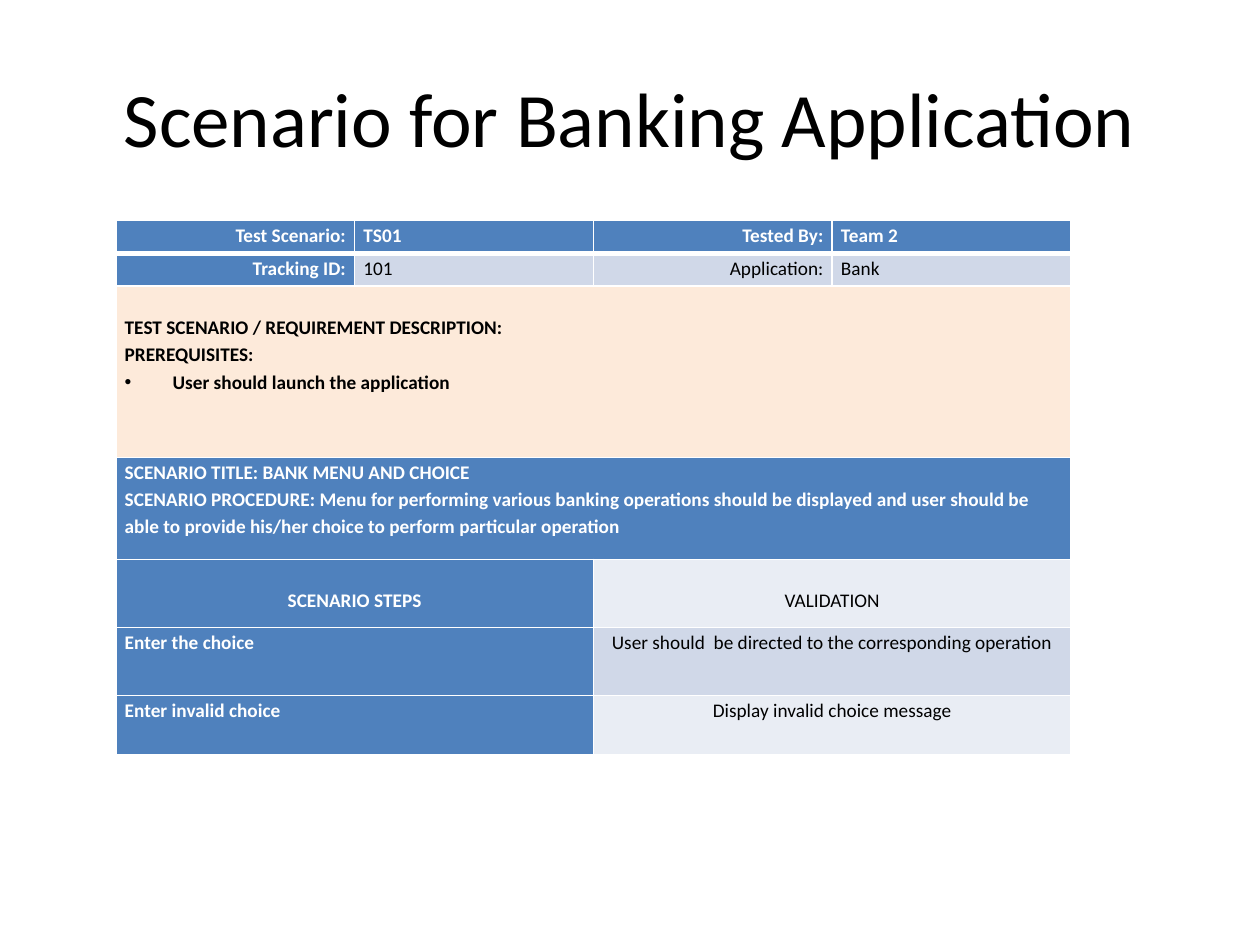
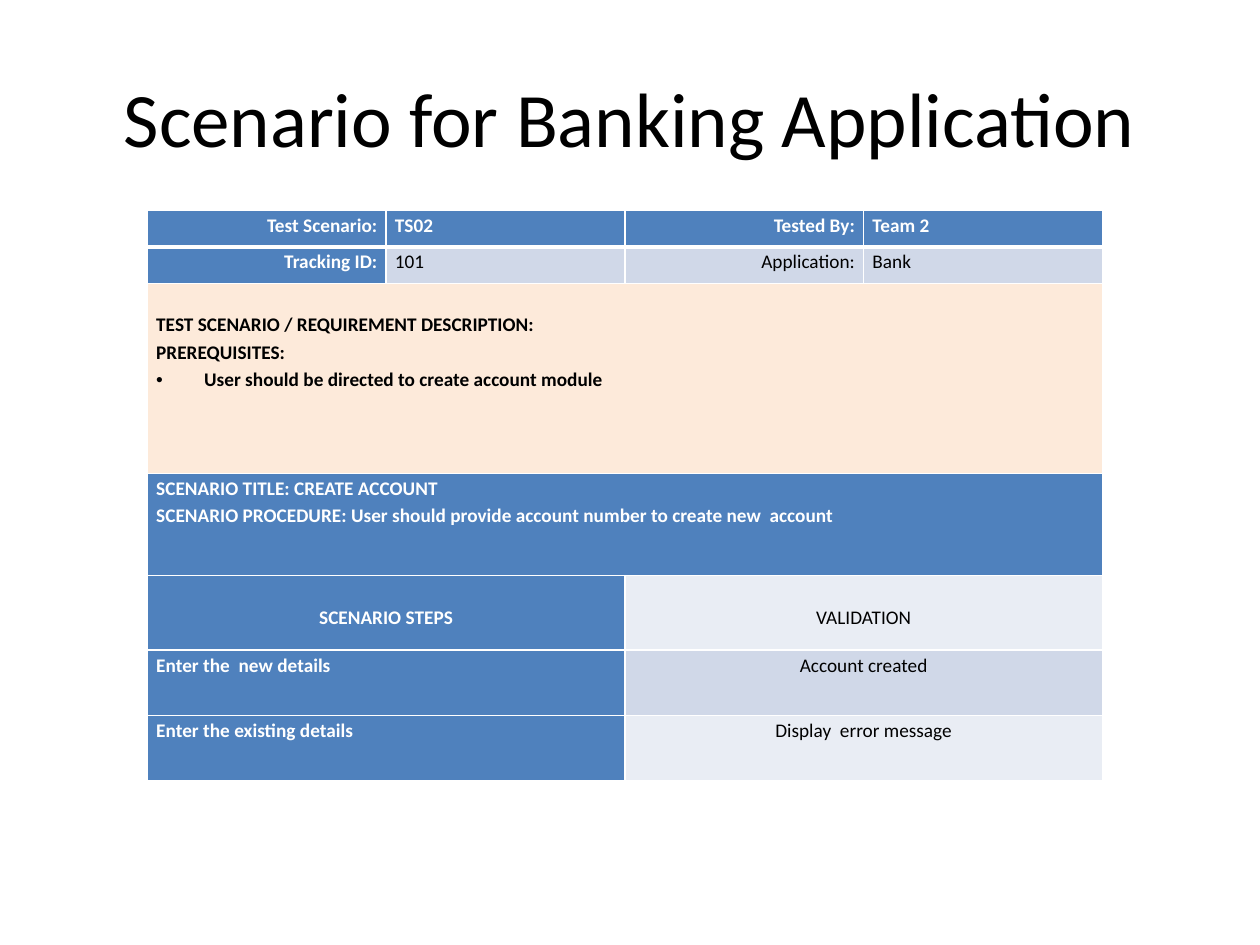
from lxml import etree
from pptx import Presentation
from pptx.dml.color import RGBColor
from pptx.enum.text import MSO_ANCHOR, PP_ALIGN
from pptx.oxml.ns import qn
from pptx.util import Inches, Pt

LEFT, CENTER, RIGHT = PP_ALIGN.LEFT, PP_ALIGN.CENTER, PP_ALIGN.RIGHT
MIDDLE = MSO_ANCHOR.MIDDLE

COLORS = {
    "white": "FFFFFF",
    "black": "000000",
    "blue": "4F81BD",
    "band": "D0D8E8",
    "pale": "E9EDF4",
    "peach": "FDEADA",
}
FONT = "Calibri"
TITLE = "Scenario for Banking Application"
COLUMNS = 4
TABLE_WIDTH = 7.58
LINE_GAP = 0.21  # one line of table text, left free above a heading

SCENARIOS = [
    {
        "at": (0.92, 1.75),
        "rows": [0.26, 0.26, 1.36, 0.81, 0.54, 0.54, 0.47],
        "id": "TS01",
        "prerequisite": "User should launch the application",
        "title": "BANK MENU AND CHOICE",
        "procedure": "Menu for performing various banking operations should be "
                     "displayed and user should be able to provide his/her choice "
                     "to perform particular operation",
        "steps": [
            ("Enter the choice",
             "User should  be directed to the corresponding operation"),
            ("Enter invalid choice", "Display invalid choice message"),
        ],
    },
    {
        "at": (1.17, 1.67),
        "rows": [0.29, 0.29, 1.51, 0.81, 0.59, 0.52, 0.52],
        "id": "TS02",
        "prerequisite": "User should be directed to create account module",
        "title": "CREATE ACCOUNT",
        "procedure": "User should provide account number to create new  account",
        "steps": [
            ("Enter the  new details", "Account created"),
            ("Enter the existing details", "Display  error message"),
        ],
    },
]


def rgb(name):
    """Return the named colour."""
    return RGBColor.from_string(COLORS[name])


def write(p, text, size=11, color="black", bold=False, align=LEFT, spacing=None):
    """Put formatted text into a paragraph."""
    p.alignment = align
    if spacing:
        p.line_spacing = spacing
    r = p.add_run()
    r.text = text
    r.font.name = FONT
    r.font.size = Pt(size)
    r.font.bold = bold
    r.font.color.rgb = rgb(color)


def add_bullet(p, indent=0.38):
    """Give a paragraph a hanging round bullet."""
    pPr = p._p.get_or_add_pPr()
    pPr.set("marL", str(Inches(indent)))
    pPr.set("indent", str(-Inches(indent)))
    etree.SubElement(pPr, qn("a:buFont")).set("typeface", "Arial")
    etree.SubElement(pPr, qn("a:buChar")).set("char", "•")


def set_borders(cell, top=1, bottom=1):
    """Draw white lines on all four sides of a cell."""
    tcPr = cell._tc.get_or_add_tcPr()
    for side, width in (("L", 1), ("R", 1), ("T", top), ("B", bottom)):
        ln = etree.SubElement(tcPr, qn("a:ln" + side), w=str(Pt(width)))
        fill = etree.SubElement(ln, qn("a:solidFill"))
        etree.SubElement(fill, qn("a:srgbClr")).set("val", COLORS["white"])


def fill_cell(cell, lines, fill, top=0, **text_format):
    """Colour a cell and write its lines, one paragraph each."""
    cell.fill.solid()
    cell.fill.fore_color.rgb = rgb(fill)
    cell.margin_left = cell.margin_right = Inches(0.07)
    cell.margin_top, cell.margin_bottom = Inches(top), 0
    tf = cell.text_frame
    for i, line in enumerate(lines):
        p = tf.paragraphs[0] if i == 0 else tf.add_paragraph()
        write(p, line, spacing=1.15, **text_format)


def merged(table, row, first, last):
    """Merge part of a row and return the joined cell."""
    cell = table.cell(row, first)
    cell.merge(table.cell(row, last))
    return cell


def add_title(s):
    """Add the slide title."""
    tf = s.shapes.add_textbox(Inches(0.5), Inches(0.3),
                              Inches(9), Inches(1.25)).text_frame
    tf.word_wrap = True
    tf.vertical_anchor = MIDDLE
    write(tf.paragraphs[0], TITLE, size=44, align=CENTER)


def add_grid(s, at, heights):
    """Add an empty table with white rules, heavier under the header."""
    left, top = at
    table = s.shapes.add_table(len(heights), COLUMNS, Inches(left), Inches(top),
                               Inches(TABLE_WIDTH), Inches(sum(heights))).table
    table.horz_banding = False
    for row, height in zip(table.rows, heights):
        row.height = Inches(height)
    for i, row in enumerate(table.rows):
        for cell in row.cells:
            set_borders(cell, top=3 if i == 1 else 1, bottom=3 if i == 0 else 1)
    return table


def add_scenario_table(s, scenario):
    """Add the table that describes one test scenario."""
    table = add_grid(s, scenario["at"], scenario["rows"])
    on_blue = {"fill": "blue", "color": "white", "bold": True}

    details = [("Test Scenario:", scenario["id"], "Tested By:", "Team 2"),
               ("Tracking ID:", "101", "Application:", "Bank")]
    for row, texts in enumerate(details):
        for col, text in enumerate(texts):
            style = on_blue if row == 0 or col == 0 else {"fill": "band"}
            fill_cell(table.cell(row, col), [text],
                      align=LEFT if col % 2 else RIGHT, **style)

    cell = merged(table, 2, 0, COLUMNS - 1)
    fill_cell(cell, ["TEST SCENARIO / REQUIREMENT DESCRIPTION:", "PREREQUISITES:",
                     scenario["prerequisite"]], "peach", top=LINE_GAP, bold=True)
    add_bullet(cell.text_frame.paragraphs[-1])

    fill_cell(merged(table, 3, 0, COLUMNS - 1),
              ["SCENARIO TITLE: " + scenario["title"],
               "SCENARIO PROCEDURE: " + scenario["procedure"]], **on_blue)

    pairs = [("SCENARIO STEPS", "VALIDATION")] + scenario["steps"]
    for i, (step, validation) in enumerate(pairs):
        top = LINE_GAP if i == 0 else 0
        fill_cell(merged(table, 4 + i, 0, 1), [step], top=top,
                  align=CENTER if i == 0 else LEFT, **on_blue)
        fill_cell(merged(table, 4 + i, 2, 3), [validation],
                  "band" if i % 2 else "pale", top=top, align=CENTER)


def main():
    """Build one slide per scenario and save the presentation."""
    prs = Presentation()
    prs.slide_width, prs.slide_height = Inches(10), Inches(7.5)
    for scenario in SCENARIOS:
        s = prs.slides.add_slide(prs.slide_layouts[6])
        add_title(s)
        add_scenario_table(s, scenario)
    prs.save("out.pptx")


main()
